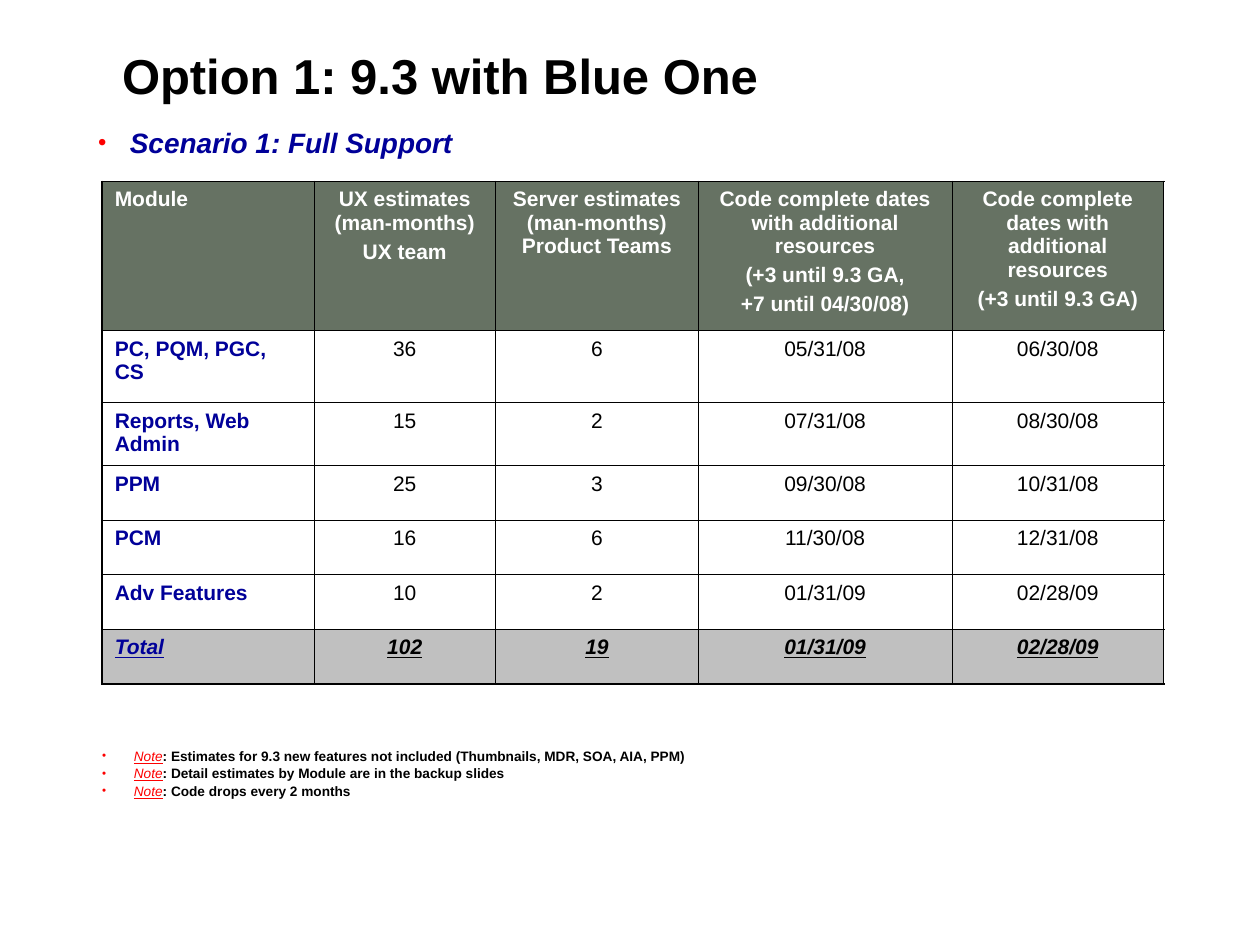
import dataclasses

import pptx
import pptx.dml.color
import pptx.enum.text
import pptx.oxml.ns
import pptx.util
from lxml import etree

Cm = pptx.util.Cm
Pt = pptx.util.Pt
ALIGN = pptx.enum.text.PP_ALIGN
TOP = pptx.enum.text.MSO_ANCHOR.TOP


@dataclasses.dataclass(frozen=True)
class Theme:
    font: str = "Arial"
    black: str = "000000"
    white: str = "FFFFFF"
    blue: str = "000099"
    red: str = "FD0000"
    green: str = "667263"
    gray: str = "C0C0C0"
    title: float = 28
    lead: float = 16
    cell: float = 12
    note: float = 7.8
    thin: float = 0.45
    thick: float = 1.08


THEME = Theme()

HEAD = [
    "Module",
    "UX estimates (man-months)\nUX team",
    "Server estimates (man-months)\vProduct Teams",
    "Code complete dates with additional resources\n(+3 until 9.3 GA,\n+7 until 04/30/08)",
    "Code complete dates with additional resources\n(+3 until 9.3 GA)",
]
ROWS = [
    ["PC, PQM, PGC, CS", "36", "6", "05/31/08", "06/30/08"],
    ["Reports, Web Admin", "15", "2", "07/31/08", "08/30/08"],
    ["PPM", "25", "3", "09/30/08", "10/31/08"],
    ["PCM", "16", "6", "11/30/08", "12/31/08"],
    ["Adv Features", "10", "2", "01/31/09", "02/28/09"],
    ["Total", "102", "19", "01/31/09", "02/28/09"],
]
WIDTHS = [4.27, 3.66, 4.09, 5.11, 4.27]
HEIGHTS = [3, 1.45, 1.27, 1.1, 1.1, 1.1, 1.1]
NOTES = [
    "Estimates for 9.3 new features not included (Thumbnails, MDR, SOA, AIA, PPM)",
    "Detail estimates by Module are in the backup slides",
    "Code drops every 2 months",
]


def rgb(code):
    return pptx.dml.color.RGBColor.from_string(code)


def add_node(parent, tag, **attrs):
    return etree.SubElement(parent, pptx.oxml.ns.qn(tag), **attrs)


def style(font, size, color, bold=False, italic=False, under=False):
    font.name = THEME.font
    font.size = Pt(size)
    font.color.rgb = rgb(color)
    font.bold = bold
    font.italic = italic
    font.underline = under


def clear_insets(frame):
    frame.margin_left = frame.margin_right = 0
    frame.margin_top = frame.margin_bottom = 0
    frame.vertical_anchor = TOP
    frame.word_wrap = True


def add_box(slide, left, top, width, height):
    box = slide.shapes.add_textbox(Cm(left), Cm(top), Cm(width), Cm(height))
    clear_insets(box.text_frame)
    return box.text_frame


def add_bullet(para):
    indent = Cm(0.64)
    props = para._p.get_or_add_pPr()
    props.set("marL", str(indent))
    props.set("indent", str(-indent))
    color = add_node(props, "a:buClr")
    add_node(color, "a:srgbClr", val=THEME.red)
    add_node(props, "a:buSzPct", val="85000")
    add_node(props, "a:buFont", typeface=THEME.font)
    add_node(props, "a:buChar", char="•")


def set_title(slide):
    title = slide.shapes.title
    title.left, title.top = Cm(2.46), Cm(0.92)
    title.width, title.height = Cm(21.06), Cm(2.62)
    frame = title.text_frame
    clear_insets(frame)
    frame.text = "Option 1: 9.3 with Blue One"
    para = frame.paragraphs[0]
    para.alignment = ALIGN.LEFT
    style(para.runs[0].font, THEME.title, THEME.black, bold=True)


def add_lead(slide):
    para = add_box(slide, 1.98, 2.54, 20.93, 0.81).paragraphs[0]
    para.text = "Scenario 1: Full Support"
    add_bullet(para)
    style(para.runs[0].font, THEME.lead, THEME.blue, bold=True, italic=True)


def add_notes(slide):
    frame = add_box(slide, 2.06, 15.14, 20.93, 1.17)
    for i, note in enumerate(NOTES):
        para = frame.add_paragraph() if i else frame.paragraphs[0]
        add_bullet(para)
        para.line_spacing = 0.8
        if i:
            para.space_before = Pt(2.5)
        label, body = para.add_run(), para.add_run()
        label.text, body.text = "Note", f": {note}"
        style(label.font, THEME.note, THEME.red, italic=True, under=True)
        style(body.font, THEME.note, THEME.black, bold=True)


def set_edges(cell, outer):
    """Draw the four borders; outer tells which lie on the table's rim."""
    props = cell._tc.get_or_add_tcPr()
    for side, rim in zip("LRTB", outer):
        width = Pt(THEME.thick if rim else THEME.thin)
        line = add_node(props, f"a:ln{side}", w=str(width))
        fill = add_node(line, "a:solidFill")
        add_node(fill, "a:srgbClr", val=THEME.black)


def set_fill(cell, color):
    if color:
        cell.fill.solid()
        cell.fill.fore_color.rgb = rgb(color)
    else:
        cell.fill.background()


def set_text(cell, text, center, **look):
    cell.text_frame.text = text
    for i, para in enumerate(cell.text_frame.paragraphs):
        para.alignment = ALIGN.CENTER if center else ALIGN.LEFT
        if i:
            para.space_before = Pt(3)
        for run in para.runs:
            style(run.font, THEME.cell, **look)


def add_grid(slide):
    data = [HEAD] + ROWS
    end, edge = len(data) - 1, len(HEAD) - 1
    frame = slide.shapes.add_table(
        len(data), len(HEAD), Cm(2.06), Cm(3.66), Cm(sum(WIDTHS)), Cm(sum(HEIGHTS)))
    table = frame.table
    table.first_row = table.horz_banding = False
    for col, width in zip(table.columns, WIDTHS):
        col.width = Cm(width)
    for row, height in zip(table.rows, HEIGHTS):
        row.height = Cm(height)
    for r, texts in enumerate(data):
        head, total = r == 0, r == end
        for c, text in enumerate(texts):
            cell = table.cell(r, c)
            name = c == 0
            color = THEME.white if head else THEME.blue if name else THEME.black
            set_edges(cell, (name, c == edge, head, total))
            set_fill(cell, THEME.green if head else THEME.gray if total else None)
            set_text(cell, text, not name, color=color,
                     bold=head or total or name, italic=total, under=total)


def main():
    deck = pptx.Presentation()
    deck.slide_width, deck.slide_height = Cm(25.4), Cm(19.05)
    slide = deck.slides.add_slide(deck.slide_layouts[5])
    set_title(slide)
    add_notes(slide)
    add_lead(slide)
    add_grid(slide)
    deck.save("out.pptx")


if __name__ == "__main__":
    main()
